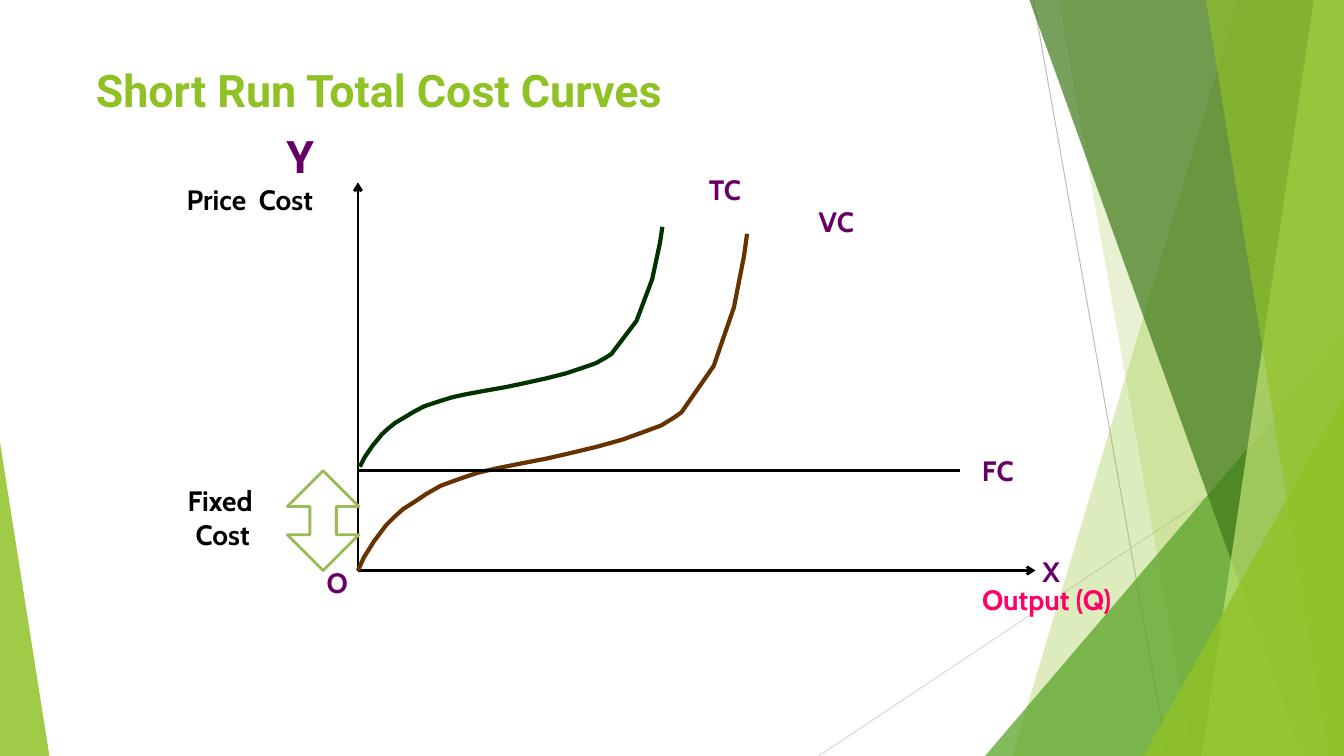
from pptx import Presentation
from pptx.dml.color import RGBColor
from pptx.enum.shapes import MSO_CONNECTOR, MSO_SHAPE
from pptx.enum.text import MSO_ANCHOR, MSO_AUTO_SIZE, PP_ALIGN
from pptx.oxml.ns import qn
from pptx.util import Inches, Pt
from lxml import etree

STRAIGHT = MSO_CONNECTOR.STRAIGHT
TRIANGLE, UP_DOWN_ARROW = MSO_SHAPE.ISOSCELES_TRIANGLE, MSO_SHAPE.UP_DOWN_ARROW
TOP, NO_FIT, LEFT = MSO_ANCHOR.TOP, MSO_AUTO_SIZE.NONE, PP_ALIGN.LEFT

SLIDE_W, SLIDE_H = 13.33, 7.5
GREEN, PURPLE, PINK, BLACK = "90C226", "660066", "FF0066", "000000"

# Cost curve profile: output and cost in inches from the curve's start
PROFILE = [
    (0, 0), (0.06, 0.13), (0.11, 0.21), (0.16, 0.29), (0.22, 0.37), (0.28, 0.45),
    (0.36, 0.53), (0.45, 0.61), (0.56, 0.68), (0.68, 0.76), (0.82, 0.84),
    (0.9, 0.87), (1.04, 0.92), (1.19, 0.97), (1.36, 1.01), (1.61, 1.06),
    (1.87, 1.11), (2.13, 1.17), (2.38, 1.23), (2.63, 1.3), (2.85, 1.38),
    (3.01, 1.44), (3.14, 1.52), (3.21, 1.57), (3.53, 2.03), (3.73, 2.61),
    (3.83, 3.12), (3.86, 3.34),
]


def rgb(value):
    return RGBColor.from_string(value)


def apply_format(target, values):
    for name, value in values.items():
        setattr(target, name, value)


def paint(shape, color, opacity=100):
    shape.shadow.inherit = False
    shape.line.fill.background()
    shape.fill.solid()
    shape.fill.fore_color.rgb = rgb(color)
    if opacity < 100:
        tint = shape.fill._xPr.find(qn("a:solidFill"))[0]
        etree.SubElement(tint, qn("a:alpha"), val=str(opacity * 1000))


def stroke(shape, color, width):
    shape.line.color.rgb = rgb(color)
    shape.line.width = Pt(width)


def outline(slide, points, close):
    corners = [(Inches(x), Inches(y)) for x, y in points]
    builder = slide.shapes.build_freeform(*corners[0])
    builder.add_line_segments(corners[1:], close=close)
    return builder.convert_to_shape()


def straight_line(slide, start, end, color, width, arrow=False):
    line = slide.shapes.add_connector(STRAIGHT, *map(Inches, start + end))
    stroke(line, color, width)
    if arrow:
        etree.SubElement(line.line._get_or_add_ln(), qn("a:tailEnd"), type="arrow")
    etree.SubElement(line._element.spPr, qn("a:effectLst"))


def draw_backdrop(slide, width, height):
    straight_line(slide, (10.25, 0), (11.58, height), "BFBFBF", 0.75)
    straight_line(slide, (width, 4.03), (8.12, height), "D9D9D9", 0.75)

    def band(top_x, bottom_x, color, opacity):
        corners = [(top_x, 0), (width, 0), (width, height), (bottom_x, height)]
        paint(outline(slide, corners, True), color, opacity)

    def wedge(left, top, wedge_width, apex, color, opacity):
        box = map(Inches, (left, top, wedge_width, height - top))
        shape = slide.shapes.add_shape(TRIANGLE, *box)
        shape.adjustments[0] = apex
        paint(shape, color, opacity)

    band(12.28, 10.04, GREEN, 30)
    band(10.5, 11.83, GREEN, 20)
    wedge(9.77, 3.33, width - 9.77, 1, "54A021", 72)
    band(10.21, 12.91, "3F7819", 70)
    band(13.03, 11.92, "C0E474", 70)
    band(11.96, 13.18, GREEN, 65)
    wedge(11.34, 3.93, width - 11.34, 1, GREEN, 80)
    wedge(0, 4.39, 0.49, 0, GREEN, 85)


def write_title(slide, left, top, width, height):
    title = slide.shapes.title
    apply_format(title, {"left": Inches(left), "top": Inches(top),
                         "width": Inches(width), "height": Inches(height)})
    frame = title.text_frame
    apply_format(frame, {"margin_left": 0, "margin_right": 0, "margin_bottom": 0,
                         "margin_top": Inches(0.37), "vertical_anchor": TOP,
                         "auto_size": NO_FIT, "word_wrap": True})
    frame.text = "Short Run Total Cost Curves\nY"
    heading, y_axis_name = frame.paragraphs
    for paragraph, color, indent, before in (
            (heading, GREEN, 0.01, 0), (y_axis_name, PURPLE, 1.9, 9)):
        apply_format(paragraph, {"alignment": LEFT, "space_before": Pt(before)})
        apply_format(paragraph.font, {"name": "Roboto", "size": Pt(32), "bold": True})
        paragraph.font.color.rgb = rgb(color)
        paragraph._p.get_or_add_pPr().set("marL", str(Inches(indent)))
        paragraph._p.get_or_add_pPr().set("indent", "0")


def write_label(slide, text, left, top, width, height, color, indent=0.01, hanging=0):
    label = slide.shapes.add_textbox(*map(Inches, (left, top, width, height)))
    frame = label.text_frame
    apply_format(frame, {"margin_left": 0, "margin_right": 0, "margin_bottom": 0,
                         "margin_top": Inches(0.01), "word_wrap": True})
    paragraph = frame.paragraphs[0]
    paragraph.text = text
    paragraph.space_before = Pt(1)
    apply_format(paragraph.font, {"name": "Cabin", "size": Pt(20), "bold": True})
    paragraph.font.color.rgb = rgb(color)
    properties = paragraph._p.get_or_add_pPr()
    properties.set("marL", str(Inches(indent)))
    properties.set("indent", str(-Inches(hanging)))


def draw_cost_curve(slide, left, bottom, width, height, color):
    run, rise = PROFILE[-1]
    points = [(left + x * width / run, bottom - y * height / rise) for x, y in PROFILE]
    curve = outline(slide, points, False)
    curve.shadow.inherit = False
    curve.fill.background()
    stroke(curve, color, 3)


def draw_diagram(slide, left, top, width, height):
    bottom, right = top + height, left + width
    fixed_cost = bottom - 0.99

    # Axes, curves and the fixed cost line
    straight_line(slide, (left, bottom), (left, top), BLACK, 2, arrow=True)
    straight_line(slide, (left, bottom), (right, bottom), BLACK, 2, arrow=True)
    draw_cost_curve(slide, left + 0.02, fixed_cost - 0.04, 3, 2.38, "003300")
    draw_cost_curve(slide, left, bottom, 3.86, 3.34, "663300")
    straight_line(slide, (left, fixed_cost), (left + 5.97, fixed_cost), BLACK, 2.5)

    # Fixed cost span
    span_box = map(Inches, (left - 0.7, fixed_cost, 0.71, bottom - fixed_cost))
    fixed_span = slide.shapes.add_shape(UP_DOWN_ARROW, *span_box)
    fixed_span.adjustments[0], fixed_span.adjustments[1] = 0.5, 0.37
    paint(fixed_span, "FFFFFF")
    stroke(fixed_span, "9BBB59", 2)

    # Names of axes and curves
    write_label(slide, "Price  Cost", left - 1.71, top - 0.01, 1.48, 0.35, BLACK)
    write_label(slide, "Fixed Cost", left - 1.71, fixed_cost + 0.12, 1.01, 0.7,
                BLACK, 0.1, 0.08)
    write_label(slide, "Output (Q)", right - 0.54, bottom + 0.11, 1.71, 0.36, PINK)
    for name, x, y, name_width in (
            ("O", left - 0.32, bottom - 0.06, 0.29),
            ("X", right + 0.06, bottom - 0.17, 0.24),
            ("FC", right - 0.54, fixed_cost - 0.18, 0.8),
            ("VC", left + 4.56, top + 0.21, 0.89),
            ("TC", left + 3.47, top - 0.11, 0.87)):
        write_label(slide, name, x, y, name_width, 0.36, PURPLE)


def main():
    deck = Presentation()
    deck.slide_width, deck.slide_height = Inches(SLIDE_W), Inches(SLIDE_H)
    slide = deck.slides.add_slide(deck.slide_layouts[5])
    draw_backdrop(slide, SLIDE_W, SLIDE_H)
    write_title(slide, 0.94, 0.25, 11.45, 1.55)
    draw_diagram(slide, 3.55, 1.81, 6.72, 3.85)
    deck.save("out.pptx")


if __name__ == "__main__":
    main()
